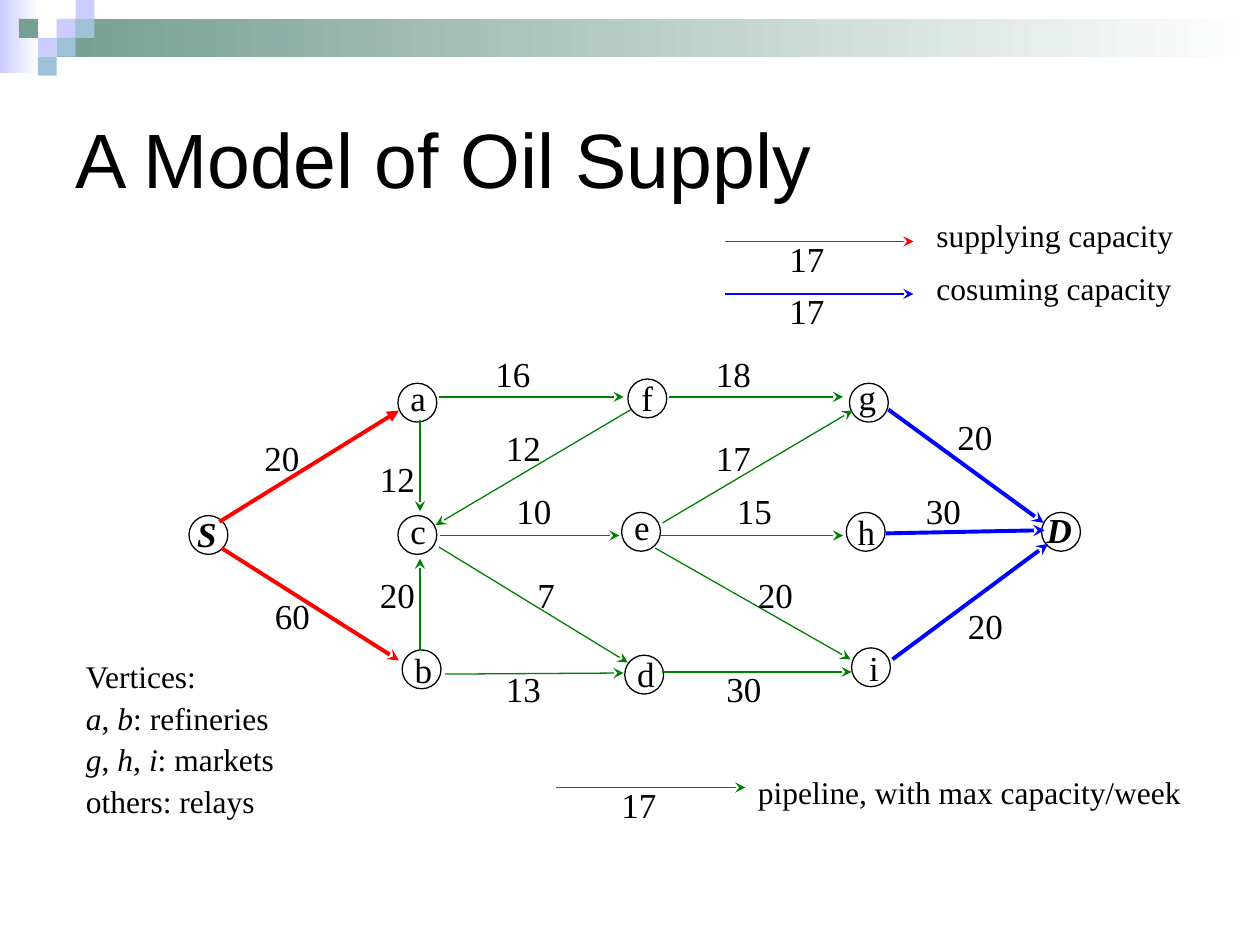
from dataclasses import dataclass

from lxml import etree
from pptx import Presentation
from pptx.dml.color import RGBColor
from pptx.enum.shapes import MSO_CONNECTOR, MSO_SHAPE
from pptx.enum.text import MSO_ANCHOR
from pptx.oxml.ns import qn
from pptx.util import Inches, Pt

RECTANGLE, OVAL = MSO_SHAPE.RECTANGLE, MSO_SHAPE.OVAL
STRAIGHT = MSO_CONNECTOR.STRAIGHT
TOP, MIDDLE = MSO_ANCHOR.TOP, MSO_ANCHOR.MIDDLE


@dataclass(frozen=True)
class Theme:
    black: str = "000000"
    white: str = "FFFFFF"
    supply: str = "FF0000"
    consume: str = "0000FF"
    pipeline: str = "008000"
    lavender: str = "CCCCFF"
    sage: str = "779F92"
    sky: str = "9DC2D7"
    sans: str = "Arial"
    serif: str = "Times New Roman"
    title: int = 44
    label: int = 20
    note: int = 18
    thin: float = 0.75
    thick: float = 2.25


theme = Theme()

SLIDE_WIDTH, SLIDE_HEIGHT = Inches(10), Inches(7.5)
COLUMNS = 120
CELL = SLIDE_WIDTH / COLUMNS
TILE = 1.8
VERTEX_SIZE = 3.7
LABEL_SIZE = (9, 5.3)

TITLE = "A Model of Oil Supply"

HEADER_BANDS = [
    ((0, 0, 3.7, 7), theme.lavender),
    ((3 * TILE, TILE, COLUMNS - 3 * TILE, 2 * TILE), theme.sage),
]
HEADER_TILES = [
    (3, 1, theme.lavender), (4, 0, theme.lavender), (4, 1, theme.sky),
    (2, 2, theme.lavender), (1, 1, theme.sage), (3, 2, theme.sky),
    (2, 3, theme.sky),
]

# name, circle corner, label corner
VERTICES = [
    ("a", (37.9, 36.5), (37.9, 35.3)),
    ("b", (38.3, 61.9), (38.3, 61.2)),
    ("c", (37.9, 49.1), (37.9, 47.9)),
    ("d", (59.5, 62.4), (59.5, 61.6)),
    ("e", (59.2, 48.8), (59.2, 47.6)),
    ("f", (59.8, 36.1), (59.9, 35.3)),
    ("g", (80.9, 36.5), (80.6, 35.2)),
    ("h", (80.6, 48.8), (80.5, 48)),
    ("i", (81.1, 61.7), (81.6, 61)),
    ("S", (18, 49.1), (17.6, 48.2)),
    ("D", (99.2, 48.8), (98.5, 47.8)),
]
TERMINALS = "SD"

PIPELINES = [
    ((41.8, 37.8), (59.4, 37.8), "16", (46, 33)),
    ((63.7, 37.8), (80.3, 37.8), "18", (67, 33)),
    ((60.1, 39), (41.5, 50), "12", (47, 40)),
    ((63.1, 49.8), (81.2, 39.1), "17", (67, 41)),
    ((41.9, 51), (59, 51), "10", (48, 46)),
    ((62.8, 51), (80.3, 51), "15", (69, 46)),
    ((41.8, 52.1), (59.8, 63.1), "7", (50, 54)),
    ((62.4, 52.2), (81, 62.8), "20", (71, 54)),
    ((42.4, 64.2), (59.4, 64.1), "13", (47, 63)),
    ((63, 64), (81.1, 64), "30", (68, 63)),
    ((40, 40), (40, 48.7), "12", (35, 43)),
    ((40, 62), (40, 53.2), "20", (35, 54)),
]
SUPPLIES = [
    ((20.9, 49.7), (38, 39.1), "20", (24, 41), "triangle"),
    ((21.1, 52.2), (38, 62.9), "60", (25, 56)),
]
CONSUMPTIONS = [
    ((84.6, 39), (99.4, 49.8), "20", (90, 39)),
    ((84.4, 50.8), (99.5, 50.5), "30", (87, 46)),
    ((85, 62.8), (99.8, 51.8), "20", (91, 57)),
]
FLOWS = [
    (PIPELINES, theme.pipeline, theme.thin),
    (SUPPLIES, theme.supply, theme.thick),
    (CONSUMPTIONS, theme.consume, theme.thick),
]

LEGEND = [
    ((69, 23), theme.supply, "supplying capacity", (88, 20, 27, 4.8)),
    ((69, 28), theme.consume, "cosuming capacity", (88, 25, 27, 4.8)),
    ((53, 75), theme.pipeline, "pipeline, with max capacity/week", (71, 73, 46, 4.8)),
]
LEGEND_CAPACITY = "17"
LEGEND_LENGTH = 18

ITALIC = {"italic": True}
VERTEX_KEY = [
    [("Vertices:", {})],
    [("a", ITALIC), (", ", {}), ("b", ITALIC), (": refineries", {})],
    [("g", ITALIC), (", ", {}), ("h", ITALIC), (", ", {}), ("i", ITALIC), (": markets", {})],
    [("others: relays", {})],
]


def grid(*cells):
    return [round(cell * CELL) for cell in cells]


def add_block(slide, area, lines, size, face=theme.serif, anchor=TOP, gap=0):
    frame = slide.shapes.add_textbox(*grid(*area)).text_frame
    frame.word_wrap = True
    frame.vertical_anchor = anchor
    for number, line in enumerate(lines):
        paragraph = frame.paragraphs[0] if number == 0 else frame.add_paragraph()
        if number:
            paragraph.space_before = Pt(gap)
        for words, emphasis in line:
            run = paragraph.add_run()
            run.text = words
            run.font.color.rgb = RGBColor.from_string(theme.black)
            for attribute, value in {"name": face, "size": Pt(size), **emphasis}.items():
                setattr(run.font, attribute, value)


def add_label(slide, corner, words, emphasis):
    add_block(slide, (*corner, *LABEL_SIZE), [[(words, emphasis)]], theme.label)


def add_plain(slide, kind, area):
    plain = slide.shapes.add_shape(kind, *grid(*area))
    plain.shadow.inherit = False
    return plain


def add_arrow(slide, start, end, color, width, head="stealth"):
    arrow = slide.shapes.add_connector(STRAIGHT, *grid(*start, *end))
    arrow.line.color.rgb = RGBColor.from_string(color)
    arrow.line.width = Pt(width)
    outline = arrow.line._get_or_add_ln()
    etree.SubElement(outline, qn("a:tailEnd"), type=head)
    etree.SubElement(arrow._element.spPr, qn("a:effectLst"))


def add_header(slide):
    for area, color in HEADER_BANDS:
        band = add_plain(slide, RECTANGLE, area)
        band.line.fill.background()
        band.fill.gradient()
        band.fill.gradient_angle = 0
        for stop, tone in zip(band.fill.gradient_stops, (color, theme.white)):
            stop.color.rgb = RGBColor.from_string(tone)
    for column, row, color in HEADER_TILES:
        tile = add_plain(slide, RECTANGLE, (column * TILE, row * TILE, TILE, TILE))
        tile.line.fill.background()
        tile.fill.solid()
        tile.fill.fore_color.rgb = RGBColor.from_string(color)


def add_network(slide):
    for name, corner, label_corner in VERTICES:
        vertex = add_plain(slide, OVAL, (*corner, VERTEX_SIZE, VERTEX_SIZE))
        vertex.fill.background()
        vertex.line.color.rgb = RGBColor.from_string(theme.black)
        vertex.line.width = Pt(theme.thin)
        strong = name in TERMINALS
        add_label(slide, label_corner, name, {"bold": strong, "italic": strong})
    for flows, color, width in FLOWS:
        for start, end, capacity, corner, *head in flows:
            add_arrow(slide, start, end, color, width, *head)
            add_label(slide, corner, capacity, {})


def add_legend(slide):
    for (left, top), color, meaning, area in LEGEND:
        add_arrow(slide, (left, top), (left + LEGEND_LENGTH, top), color, theme.thin)
        add_label(slide, (left + 5, top - 1), LEGEND_CAPACITY, {})
        add_block(slide, area, [[(meaning, {})]], theme.note)
    add_block(slide, (7, 62, 26, 16.8), VERTEX_KEY, theme.note, gap=2.2)


def main():
    deck = Presentation()
    deck.slide_width, deck.slide_height = SLIDE_WIDTH, SLIDE_HEIGHT
    slide = deck.slides.add_slide(deck.slide_layouts[6])
    add_header(slide)
    add_block(slide, (6, 6, 108, 18), [[(TITLE, {})]], theme.title, theme.sans, MIDDLE)
    add_network(slide)
    add_legend(slide)
    deck.save("out.pptx")


if __name__ == "__main__":
    main()
